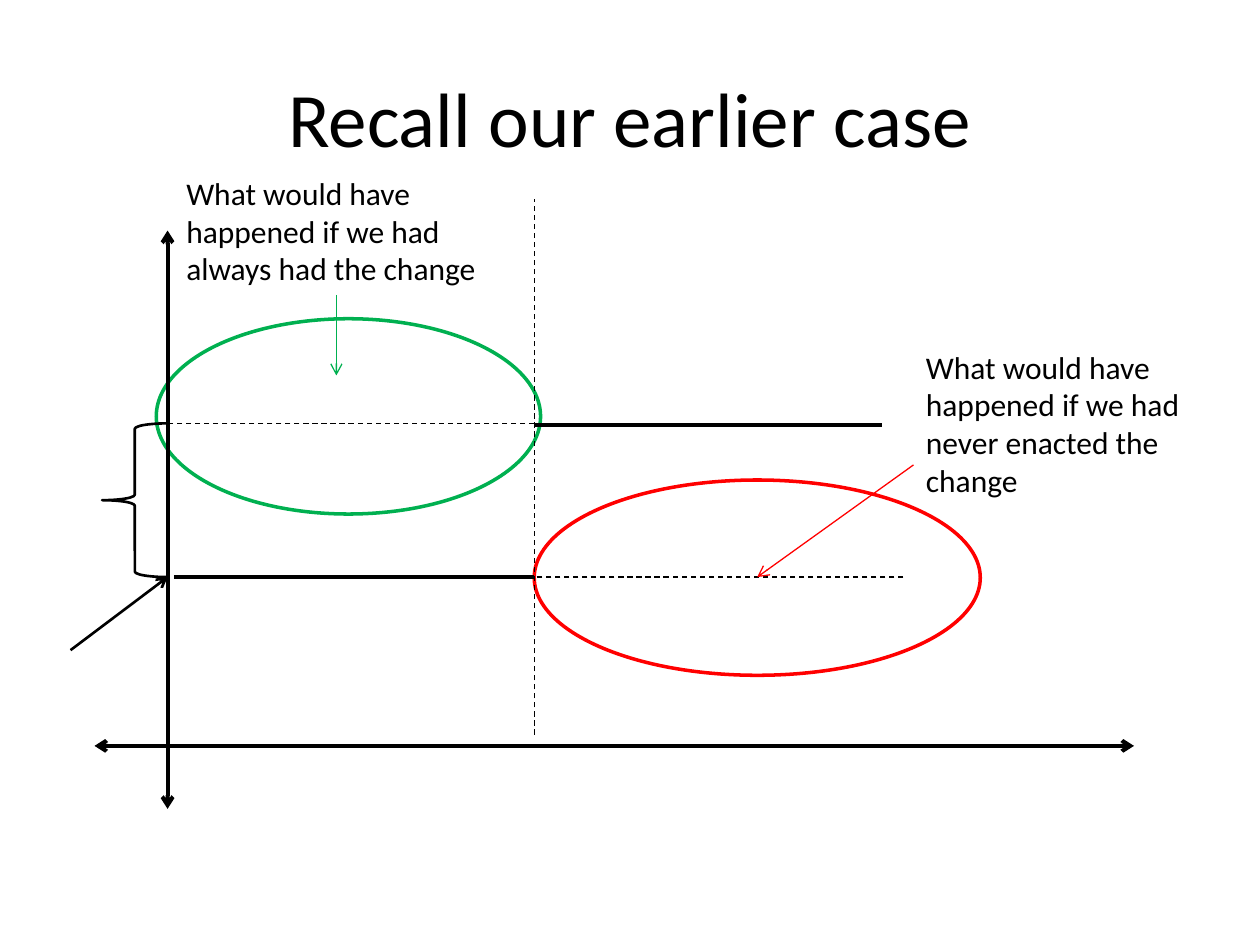
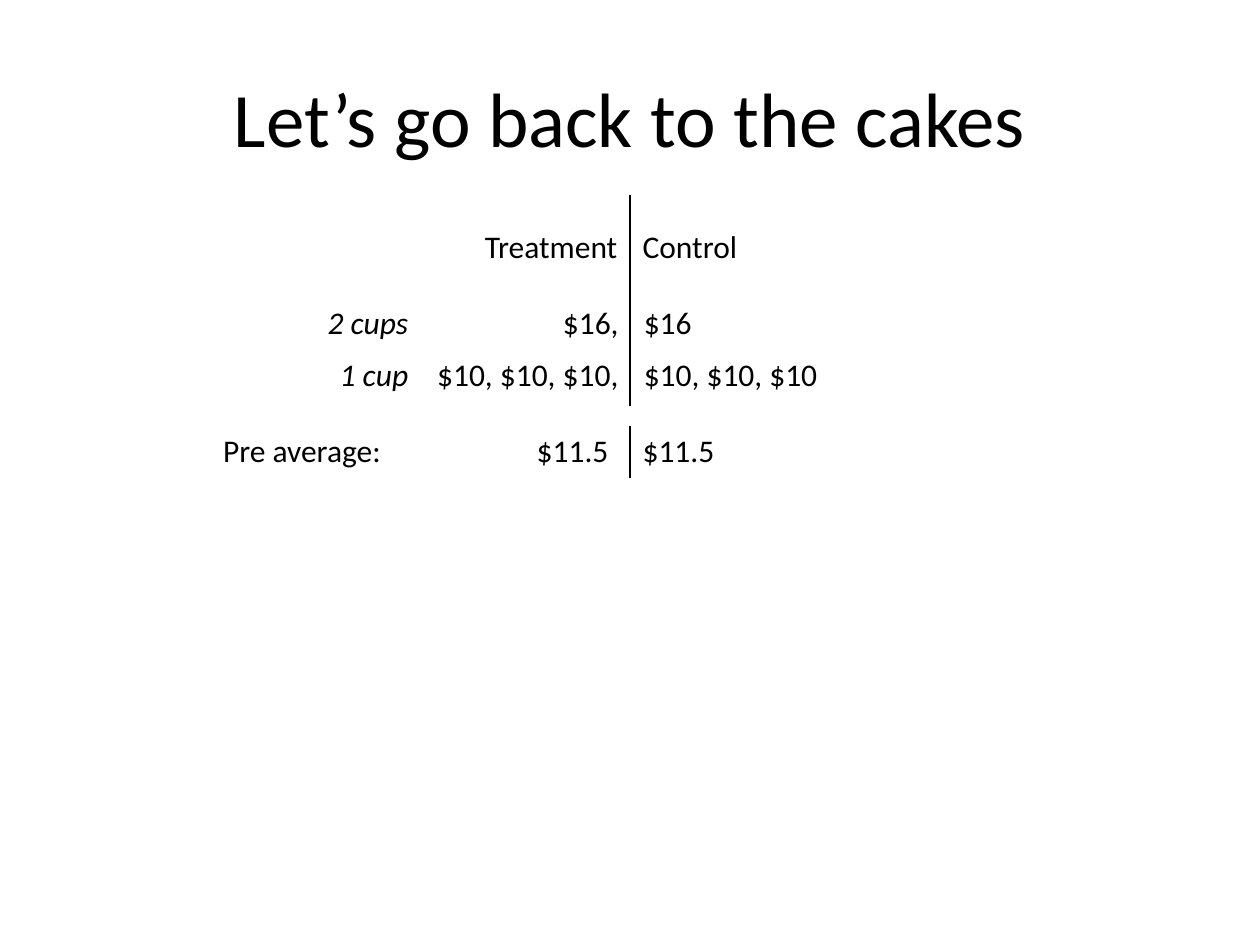
from lxml import etree
from pptx import Presentation
from pptx.dml.color import RGBColor
from pptx.enum.dml import MSO_LINE
from pptx.enum.shapes import MSO_CONNECTOR, MSO_SHAPE
from pptx.enum.text import MSO_ANCHOR, PP_ALIGN
from pptx.oxml.ns import qn
from pptx.util import Inches, Pt

FONT = "Calibri"
BLACK, WHITE, RED, GREEN = "000000", "FFFFFF", "FF0000", "00B050"
LEFT, CENTER, RIGHT = PP_ALIGN.LEFT, PP_ALIGN.CENTER, PP_ALIGN.RIGHT
NO_STYLE = "{2D5ABB26-0587-4C30-8999-92F81FD0307C}"

AXIS_X, CHANGE_X = 1.33, 4.24
AXIS_Y, HIGH_Y, LOW_Y = 5.92, 3.36, 4.58

ELLIPSES = [
    ((CHANGE_X, 3.81, 3.54, 1.55), RED),
    ((1.24, 2.53, 3.05, 1.55), GREEN),
]
DIAGRAM_LINES = [
    dict(start=(AXIS_X, 1.83), end=(AXIS_X, 6.42), width=2.25, arrows=("headEnd", "tailEnd")),
    dict(start=(9, AXIS_Y), end=(0.75, AXIS_Y), width=2.25, arrows=("headEnd", "tailEnd")),
    dict(start=(1.38, LOW_Y), end=(CHANGE_X, LOW_Y), width=2.25),
    dict(start=(CHANGE_X, 5.83), end=(CHANGE_X, 1.58), dashed=True),
    dict(start=(CHANGE_X, 3.37), end=(7, 3.37), width=2.25),
    dict(start=(CHANGE_X, HIGH_Y), end=(AXIS_X, HIGH_Y), dashed=True),
    dict(start=(7.17, LOW_Y), end=(CHANGE_X, LOW_Y), dashed=True),
    dict(start=(7.25, 3.69), end=(6.01, LOW_Y), color=RED, arrows=("tailEnd",)),
    dict(start=(2.67, 2.34), end=(2.67, 2.98), color=GREEN, arrows=("tailEnd",)),
    dict(start=(0.56, 5.16), end=(AXIS_X, LOW_Y), width=1.5, arrows=("tailEnd",)),
]
NOTES = [
    ("What would have happened if we had never enacted the change", (7.25, 2.71, 2.58, 1.31)),
    ("What would have happened if we had always had the change", (1.38, 1.33, 2.58, 1.01)),
]

ROW_HEIGHT = 0.41
DIVIDER_X = 5
HALVES = (3.33, 3.33)
CUP_PRICES = [
    ["2 cups", "$16,", "$16"],
    ["1 cup", "$10, $10, $10,", "$10, $10, $10"],
]
GROUPS = [["Treatment", "Control"]]
AVERAGES = [["Pre average:\t$11.5", "$11.5"]]
AVERAGE_TAB = 3.06


def rgb(value):
    return RGBColor.from_string(value)


def write(paragraph, text, size=18, align=LEFT, italic=False):
    paragraph.alignment = align
    run = paragraph.add_run()
    run.text = text
    run.font.name = FONT
    run.font.size = Pt(size)
    run.font.italic = italic
    run.font.color.rgb = rgb(BLACK)


def add_text(slide, text, box, size=18, align=LEFT, anchor=MSO_ANCHOR.TOP):
    frame = slide.shapes.add_textbox(*map(Inches, box)).text_frame
    frame.word_wrap = True
    frame.vertical_anchor = anchor
    write(frame.paragraphs[0], text, size, align)


def add_titled_slide(presentation, title):
    slide = presentation.slides.add_slide(presentation.slide_layouts[6])
    add_text(slide, title, (0.5, 0.3, 9, 1.25), 44, CENTER, MSO_ANCHOR.MIDDLE)
    return slide


def add_outline(slide, kind, box, color, width, fill=None):
    shape = slide.shapes.add_shape(kind, *map(Inches, box))
    shape.shadow.inherit = False
    if fill:
        shape.fill.solid()
        shape.fill.fore_color.rgb = rgb(fill)
    else:
        shape.fill.background()
    shape.line.color.rgb = rgb(color)
    shape.line.width = Pt(width)


def add_line(slide, start, end, color=BLACK, width=0.75, dashed=False, arrows=()):
    connector = slide.shapes.add_connector(MSO_CONNECTOR.STRAIGHT, *map(Inches, start + end))
    connector.line.color.rgb = rgb(color)
    connector.line.width = Pt(width)
    if dashed:
        connector.line.dash_style = MSO_LINE.DASH
    properties = connector._element.spPr
    for arrow in arrows:
        etree.SubElement(properties.find(qn("a:ln")), qn("a:" + arrow), type="arrow")
    etree.SubElement(properties, qn("a:effectLst"))


def add_table(slide, rows, left, top, widths, aligns, italic_first=False):
    frame = slide.shapes.add_table(
        len(rows), len(widths), Inches(left), Inches(top),
        Inches(sum(widths)), Inches(ROW_HEIGHT * len(rows)))
    table = frame.table
    table.first_row = table.horz_banding = False
    table._tbl.tblPr.find(qn("a:tableStyleId")).text = NO_STYLE
    for column, width in zip(table.columns, widths):
        column.width = Inches(width)
    for row, texts in zip(table.rows, rows):
        row.height = Inches(ROW_HEIGHT)
        for index, (cell, text) in enumerate(zip(row.cells, texts)):
            cell.fill.background()
            write(cell.text_frame.paragraphs[0], text, 18, aligns[index],
                  italic_first and index == 0)
    return table


def add_border(cell, side):
    border = etree.Element(qn("a:" + side), w=str(Pt(1)))
    fill = etree.SubElement(border, qn("a:solidFill"))
    etree.SubElement(fill, qn("a:srgbClr"), val=BLACK)
    cell._tc.get_or_add_tcPr().insert(0, border)


def add_right_tab(cell, position):
    properties = cell.text_frame.paragraphs[0]._p.get_or_add_pPr()
    tabs = etree.SubElement(properties, qn("a:tabLst"))
    etree.SubElement(tabs, qn("a:tab"), pos=str(Inches(position)), algn="r")


def build_case(presentation):
    slide = add_titled_slide(presentation, "Recall our earlier case")
    for box, color in ELLIPSES:
        add_outline(slide, MSO_SHAPE.OVAL, box, color, 2, WHITE)
    for line in DIAGRAM_LINES:
        add_line(slide, **line)
    for text, box in NOTES:
        add_text(slide, text, box)
    brace = (0.81, HIGH_Y, AXIS_X - 0.81, LOW_Y - HIGH_Y)
    add_outline(slide, MSO_SHAPE.LEFT_BRACE, brace, BLACK, 1.5)


def build_cakes(presentation):
    slide = add_titled_slide(presentation, "Let’s go back to the cakes")
    add_table(slide, CUP_PRICES, 0.92, 2.37, (2.42, 1.67, 3), (RIGHT, RIGHT, LEFT), True)
    add_line(slide, (DIVIDER_X, 1.55), (DIVIDER_X, 3.22))
    halves_left = DIVIDER_X - HALVES[0]
    add_table(slide, GROUPS, halves_left, 1.76, HALVES, (RIGHT, LEFT))
    averages = add_table(slide, AVERAGES, halves_left, 3.38, HALVES, (LEFT, LEFT))
    add_right_tab(averages.cell(0, 0), AVERAGE_TAB)
    add_border(averages.cell(0, 0), "lnR")
    add_border(averages.cell(0, 1), "lnL")


def main():
    presentation = Presentation()
    presentation.slide_width = Inches(10)
    presentation.slide_height = Inches(7.5)
    build_case(presentation)
    build_cakes(presentation)
    presentation.save("out.pptx")


if __name__ == "__main__":
    main()
